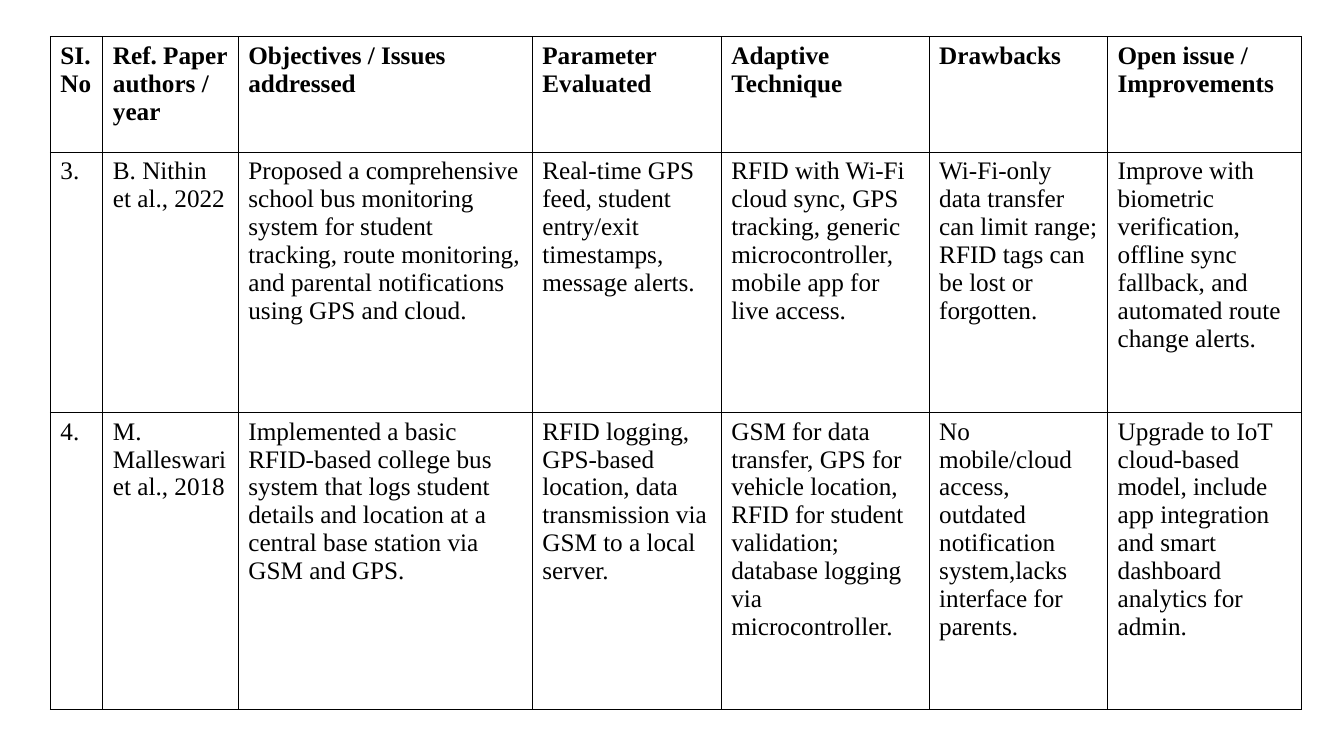
from pptx import Presentation
from pptx.dml.color import RGBColor
from pptx.oxml.ns import qn
from pptx.util import Pt
from lxml.etree import SubElement

PX = 9525
COLUMNS = [50, 129, 280, 180, 198, 170, 185]
ROWS = [110, 248, 283]
PAPERS = [
    ["SI.\nNo", "Ref. Paper authors / year", "Objectives / Issues addressed",
     "Parameter Evaluated", "Adaptive Technique", "Drawbacks",
     "Open issue / Improvements"],
    ["3.", "B. Nithin et al., 2022",
     "Proposed a comprehensive school bus monitoring system for student tracking, "
     "route monitoring, and parental notifications using GPS and cloud.",
     "Real-time GPS feed, student entry/exit timestamps, message alerts.",
     "RFID with Wi-Fi cloud sync, GPS tracking, generic microcontroller, "
     "mobile app for live access.",
     "Wi-Fi-only data transfer can limit range; RFID tags can be lost or forgotten.",
     "Improve with biometric verification, offline sync fallback, and automated "
     "route change alerts."],
    ["4.", "M. Malleswari et al., 2018",
     "Implemented a basic RFID-based college bus system that logs student details "
     "and location at a central base station via GSM and GPS.",
     "RFID logging, GPS-based location, data transmission via GSM to a local server.",
     "GSM for data transfer, GPS for vehicle location, RFID for student validation; "
     "database logging via microcontroller.",
     "No mobile/cloud access, outdated notification system,lacks interface for parents.",
     "Upgrade to IoT cloud-based model, include app integration and smart dashboard "
     "analytics for admin."],
]


def color(value):
    return RGBColor.from_string(value)


class SlideBuilder:
    """Holds the text style and the current slide."""

    font = "Times New Roman"
    size = 18
    ink = "000000"
    paper = "FFFFFF"

    def __init__(self, slide):
        self.slide = slide

    def border(self, cell):
        properties = cell._tc.get_or_add_tcPr()
        for side in ("a:lnL", "a:lnR", "a:lnT", "a:lnB"):
            line = SubElement(properties, qn(side), w=str(Pt(1)))
            fill = SubElement(line, qn("a:solidFill"))
            SubElement(fill, qn("a:srgbClr"), val=self.ink)

    def cell(self, cell, text, bold):
        self.border(cell)
        cell.fill.solid()
        cell.fill.fore_color.rgb = color(self.paper)
        cell.text_frame.text = text
        for para in cell.text_frame.paragraphs:
            for span in para.runs:
                span.font.name = self.font
                span.font.size = Pt(self.size)
                span.font.bold = bold
                span.font.color.rgb = color(self.ink)

    def table(self, left, top, widths, heights, texts):
        table = self.slide.shapes.add_table(
            len(heights), len(widths), left * PX, top * PX,
            sum(widths) * PX, sum(heights) * PX).table
        table.horz_banding = False
        for column, width in zip(table.columns, widths):
            column.width = width * PX
        for index, (row, height) in enumerate(zip(table.rows, heights)):
            row.height = height * PX
            for cell, text in zip(row.cells, texts[index]):
                self.cell(cell, text, bold=index == 0)


def main():
    deck = Presentation()
    deck.slide_width, deck.slide_height = 1280 * PX, 720 * PX
    page = SlideBuilder(deck.slides.add_slide(deck.slide_layouts[6]))
    page.table(48, 35, COLUMNS, ROWS, PAPERS)
    deck.save("out.pptx")


if __name__ == "__main__":
    main()
